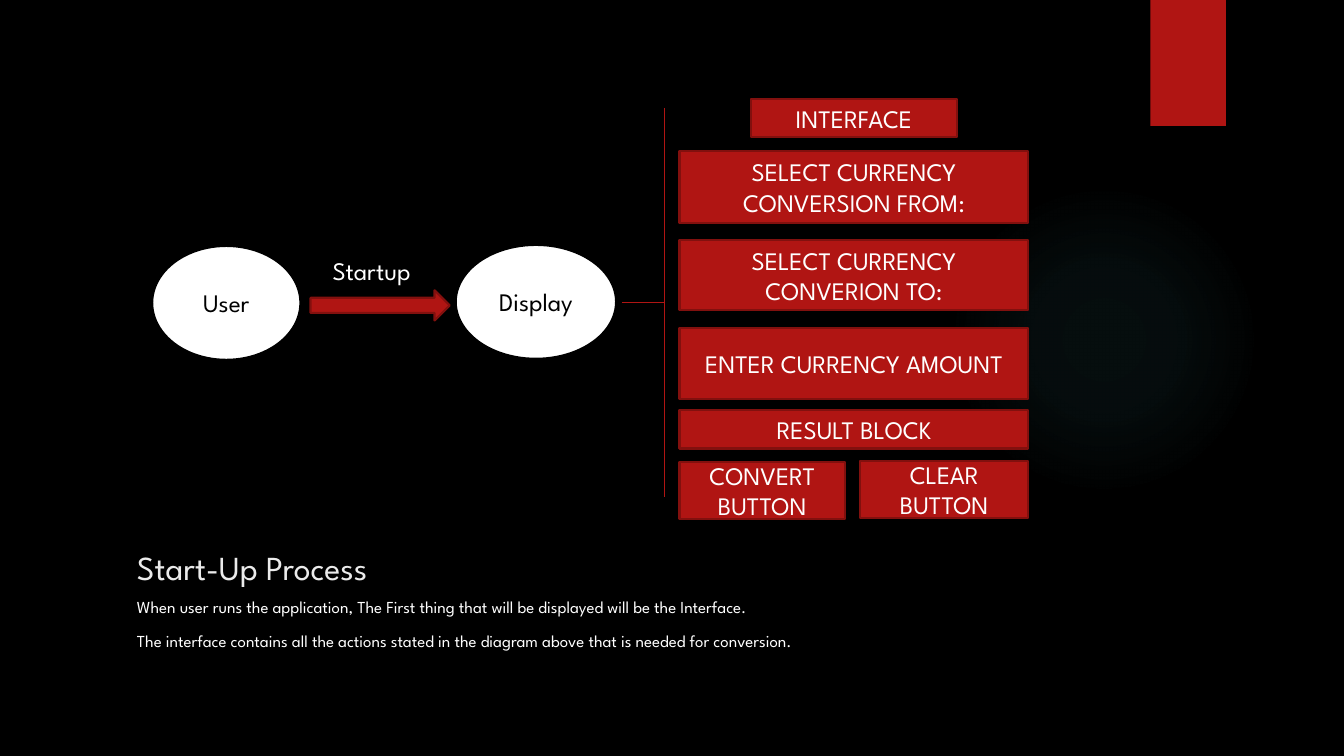
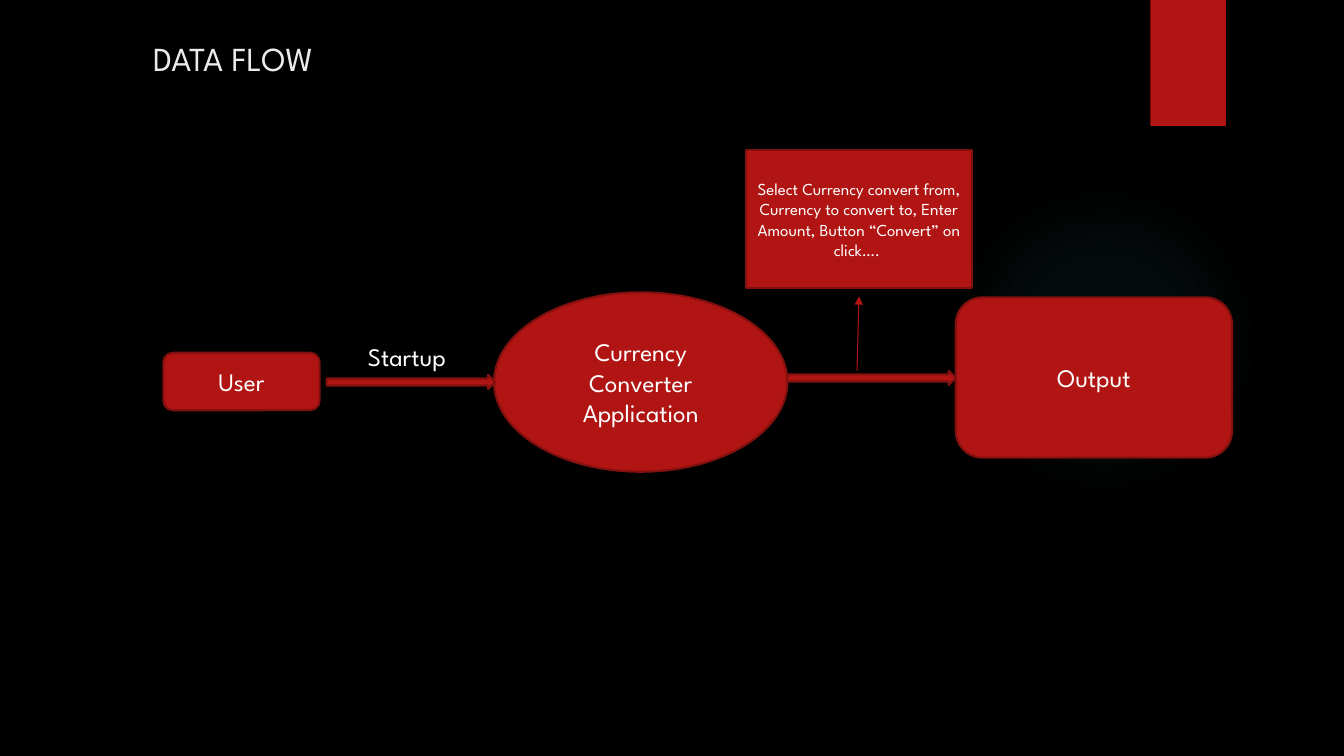
from dataclasses import dataclass

from pptx import Presentation, oxml
from pptx import util as u
from pptx.dml.color import RGBColor
from pptx.enum import shapes, text
from pptx.oxml import ns

FONT = "League Spartan"
COLORS = {
    "black": "000000",
    "white": "FFFFFF",
    "title": "EBEBEB",
    "red": "B01513",
    "edge": "82100E",
    "glow": "50B9C1",
}
GLOW_STOPS = ((0, 7), (36, 6), (69, 0))  # position and opacity, in percent
KINDS = shapes.MSO_SHAPE
CENTER = text.PP_ALIGN.CENTER
LEFT = text.PP_ALIGN.LEFT
TOP = text.MSO_ANCHOR.TOP
MIDDLE = text.MSO_ANCHOR.MIDDLE
BOTTOM = text.MSO_ANCHOR.BOTTOM


@dataclass(frozen=True)
class Node:
    """A filled and outlined shape of a diagram."""
    kind: KINDS
    left: float
    top: float
    width: float
    height: float
    label: str = ""
    size: float = 18
    fill: str = "red"
    line: str = "edge"
    ink: str = "white"


@dataclass(frozen=True)
class Label:
    """Free text, one paragraph for each line."""
    left: float
    top: float
    width: float
    height: float
    lines: tuple[str, ...]
    size: float = 18
    ink: str = "white"
    anchor: text.MSO_ANCHOR = TOP
    before: float = 0


@dataclass(frozen=True)
class Link:
    """A thin straight line, with an optional arrowhead at its end."""
    start: tuple[float, float]
    end: tuple[float, float]
    arrow: bool = False


def color(name: str) -> RGBColor:
    """Look up a colour by name."""
    return RGBColor.from_string(COLORS[name])


def place(*lengths: float) -> list[u.Length]:
    """Turn inches into lengths."""
    return [u.Inches(length) for length in lengths]


def apply(target: object, formats: dict) -> None:
    """Set each format value on the target."""
    for name, value in formats.items():
        setattr(target, name, value)


def write(box, lines: tuple[str, ...], size: float, ink: str,
          align: text.PP_ALIGN, anchor: text.MSO_ANCHOR,
          before: float = 0) -> None:
    """Fill a shape or text box with styled paragraphs."""
    frame = box.text_frame
    apply(frame, {"word_wrap": True, "vertical_anchor": anchor})
    for index, line in enumerate(lines):
        para = frame.add_paragraph() if index else frame.paragraphs[0]
        apply(para, {"alignment": align, "space_before": u.Pt(before)})
        span = para.add_run()
        span.text = line
        apply(span.font, {"name": FONT, "size": u.Pt(size)})
        span.font.color.rgb = color(ink)


def add_plain(page, kind: KINDS, bounds: tuple[float, ...], fill: str):
    """Draw a filled shape without outline or shadow."""
    box = page.shapes.add_shape(kind, *place(*bounds))
    box.shadow.inherit = False
    box.fill.solid()
    box.fill.fore_color.rgb = color(fill)
    box.line.fill.background()
    return box


def add_node(page, node: Node) -> None:
    """Draw a diagram shape with its label."""
    bounds = (node.left, node.top, node.width, node.height)
    box = add_plain(page, node.kind, bounds, node.fill)
    box.line.color.rgb = color(node.line)
    box.line.width = u.Pt(1.5)
    if node.label:
        write(box, (node.label,), node.size, node.ink, CENTER, MIDDLE)


def add_label(page, label: Label) -> None:
    """Draw free text."""
    bounds = place(label.left, label.top, label.width, label.height)
    box = page.shapes.add_textbox(*bounds)
    write(box, label.lines, label.size, label.ink, LEFT, label.anchor, label.before)


def add_link(page, link: Link) -> None:
    """Draw a thin line."""
    line = page.shapes.add_connector(
        shapes.MSO_CONNECTOR.STRAIGHT, *place(*link.start, *link.end))
    line.line.color.rgb = color("red")
    line.line.width = u.Pt(0.75)
    if link.arrow:
        head = oxml.parse_xml(f'<a:tailEnd {ns.nsdecls("a")} type="triangle"/>')
        line.line._get_or_add_ln().append(head)
    line._element.spPr.append(
        oxml.parse_xml(f'<a:effectLst {ns.nsdecls("a")}/>'))


def add_glow(page) -> None:
    """Draw the faint round glow behind the content."""
    glow = add_plain(page, KINDS.OVAL, (9.41, 1.83, 3.08, 3.08), "glow")
    stops = "".join(
        f'<a:gs pos="{spot * 1000}"><a:srgbClr val="{COLORS["glow"]}">'
        f'<a:alpha val="{opacity * 1000}"/></a:srgbClr></a:gs>'
        for spot, opacity in GLOW_STOPS)
    gradient = oxml.parse_xml(
        f'<a:gradFill {ns.nsdecls("a")} rotWithShape="1">'
        f'<a:gsLst>{stops}</a:gsLst><a:path path="circle">'
        '<a:fillToRect l="50000" t="50000" r="50000" b="50000"/>'
        '</a:path></a:gradFill>')
    props = glow._element.spPr
    props.replace(props.find(ns.qn("a:solidFill")), gradient)


def title(left: float, top: float, line: str) -> Label:
    """Describe a slide title."""
    return Label(left, top, 9.65, 0.62, (line,), 24, "title", BOTTOM)


def add_page(deck, items: tuple) -> None:
    """Add a slide with the shared backdrop and draw its items in order."""
    page = deck.slides.add_slide(deck.slide_layouts[6])
    page.background.fill.solid()
    page.background.fill.fore_color.rgb = color("black")
    add_glow(page)
    add_plain(page, KINDS.RECTANGLE, (11.41, 0, 0.75, 1.25), "red")
    painters = {Node: add_node, Label: add_label, Link: add_link}
    for item in items:
        painters[type(item)](page, item)


def actor(left: float, top: float, width: float, label: str) -> Node:
    """Describe a white ellipse of the start-up diagram."""
    return Node(KINDS.OVAL, left, top, width, 1.13, label,
                fill="white", line="black", ink="black")


def panel(top: float, height: float, label: str,
          left: float = 6.74, width: float = 3.46) -> Node:
    """Describe a block of the interface."""
    return Node(KINDS.RECTANGLE, left, top, width, height, label)


STARTUP = (
    actor(1.51, 2.44, 1.47, "User"),
    Node(KINDS.RIGHT_ARROW, 3.08, 2.88, 1.38, 0.3),
    actor(4.52, 2.43, 1.59, "Display"),
    Label(3.2, 2.48, 1.13, 0.4, ("Startup",)),
    Link((6.17, 3), (6.59, 3)),
    Link((6.59, 1.07), (6.59, 4.93)),
    panel(0.98, 0.38, "INTERFACE", 7.45, 2.04),
    panel(1.5, 0.71, "SELECT CURRENCY CONVERSION FROM:"),
    panel(2.38, 0.7, "SELECT CURRENCY CONVERION TO:"),
    panel(3.25, 0.71, "ENTER CURRENCY AMOUNT"),
    panel(4.07, 0.38, "RESULT BLOCK"),
    panel(4.58, 0.57, "CONVERT BUTTON", width=1.64),
    panel(4.57, 0.57, "CLEAR BUTTON", 8.53, 1.67),
    title(1.26, 5.25, "Start-Up Process"),
    Label(1.26, 5.87, 9.65, 0.71, (
        "When user runs the application, The First thing that will be "
        "displayed will be the Interface.",
        "The interface contains all the actions stated in the diagram above "
        "that is needed for conversion.",
    ), size=12, before=10),
)

DATA_FLOW = (
    title(1.42, 0.21, "DATA FLOW"),
    Node(KINDS.OVAL, 4.9, 2.9, 2.91, 1.78, "Currency Converter Application"),
    Node(KINDS.ROUNDED_RECTANGLE, 1.62, 3.5, 1.55, 0.57, "User"),
    Node(KINDS.RIGHT_ARROW, 3.24, 3.72, 1.67, 0.14),
    Link((8.5, 3.68), (8.52, 2.94), arrow=True),
    Node(KINDS.RECTANGLE, 7.4, 1.49, 2.24, 1.37,
         "Select Currency convert from, Currency to convert to, Enter Amount, "
         "Button “Convert” on click…. ", size=12),
    Label(3.55, 3.34, 1.4, 0.4, ("Startup",)),
    Node(KINDS.ROUNDED_RECTANGLE, 9.48, 2.95, 2.74, 1.59, "Output"),
    Node(KINDS.RIGHT_ARROW, 7.81, 3.68, 1.67, 0.14),
)


def main() -> None:
    """Build the deck and save it."""
    deck = Presentation()
    apply(deck, {"slide_width": u.Inches(13.33), "slide_height": u.Inches(7.5)})
    for items in (STARTUP, DATA_FLOW):
        add_page(deck, items)
    deck.save("out.pptx")


main()
